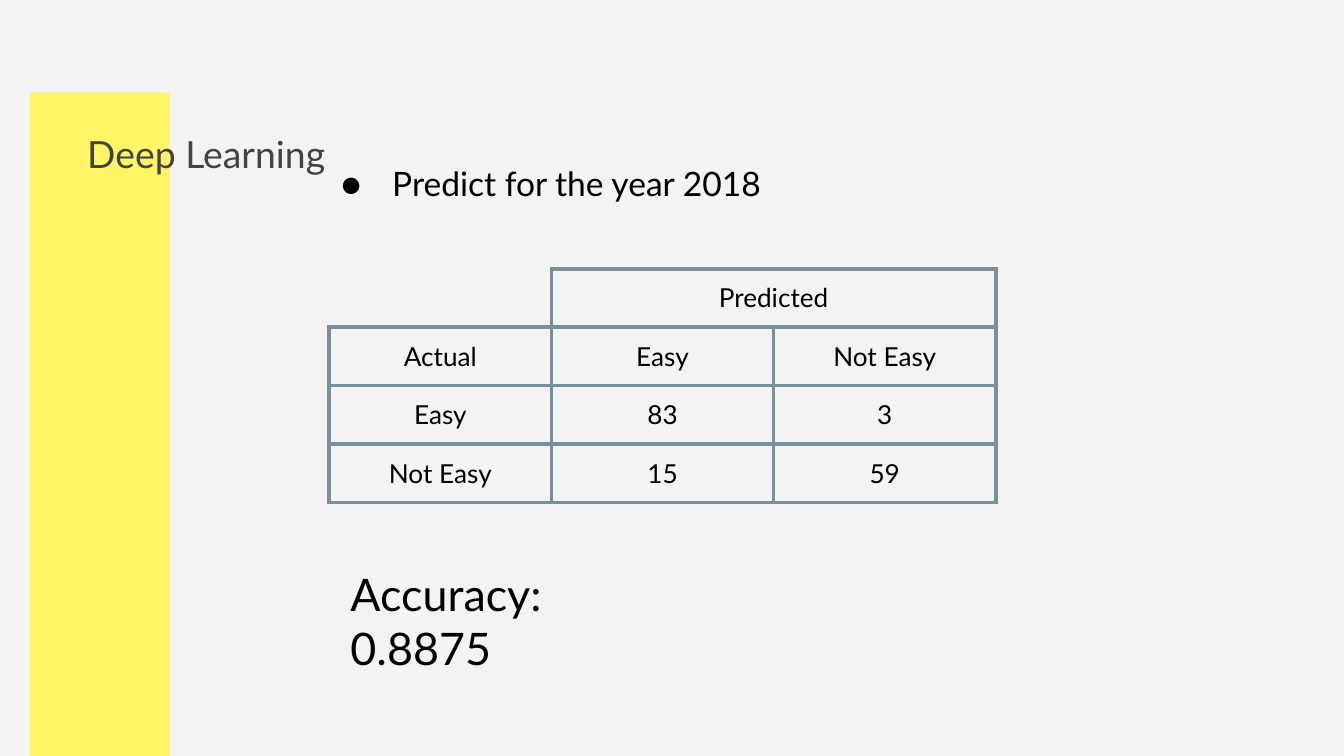
"""Build the Deep Learning slide with its confusion matrix and accuracy."""
import dataclasses

import lxml.etree
import pptx
import pptx.dml.color
import pptx.enum.shapes
import pptx.enum.text
import pptx.oxml.ns
import pptx.slide
import pptx.table
import pptx.text.text
import pptx.util

Inches = pptx.util.Inches
Pt = pptx.util.Pt
RGBColor = pptx.dml.color.RGBColor
Align = pptx.enum.text.PP_ALIGN
Anchor = pptx.enum.text.MSO_ANCHOR
qn = pptx.oxml.ns.qn

BACKGROUND = RGBColor(0xF3, 0xF3, 0xF3)
YELLOW = RGBColor(0xFF, 0xF5, 0x66)
GRAY = RGBColor(0x43, 0x43, 0x43)
BLACK = RGBColor(0x00, 0x00, 0x00)
BORDER = RGBColor(0x78, 0x90, 0x9C)
FONT = "Lato"
INSET = Inches(0.1)


@dataclasses.dataclass(frozen=True)
class TextBlock:
    text: str
    left: float
    top: float
    width: float
    height: float
    size: int
    color: RGBColor = BLACK
    anchor: Anchor = Anchor.TOP
    bottom_inset: float = 0.1
    bullet: str = ""
    line_spacing: float = 1.0


def write(
    frame: pptx.text.text.TextFrame,
    text: str,
    *,
    size: int,
    color: RGBColor = BLACK,
    align: Align = Align.LEFT,
    bullet: str = "",
    line_spacing: float = 1.0,
) -> None:
    paragraph = frame.paragraphs[0]
    paragraph.alignment = align
    paragraph.line_spacing = line_spacing
    if bullet:
        properties = paragraph._p.get_or_add_pPr()
        properties.set("marL", str(Inches(0.5)))
        properties.set("indent", str(Inches(-0.38)))
        bullet_color = lxml.etree.SubElement(properties, qn("a:buClr"))
        lxml.etree.SubElement(bullet_color, qn("a:srgbClr"), val=str(color))
        lxml.etree.SubElement(properties, qn("a:buSzPts"), val=str(size * 100))
        lxml.etree.SubElement(properties, qn("a:buFont"), typeface=FONT)
        lxml.etree.SubElement(properties, qn("a:buChar"), char=bullet)
    run = paragraph.add_run()
    run.text = text
    run.font.name = FONT
    run.font.size = Pt(size)
    run.font.color.rgb = color


def draw_block(slide: pptx.slide.Slide, block: TextBlock) -> None:
    frame = slide.shapes.add_textbox(
        Inches(block.left), Inches(block.top), Inches(block.width), Inches(block.height)
    ).text_frame
    frame.word_wrap = True
    frame.vertical_anchor = block.anchor
    frame.margin_left = frame.margin_right = frame.margin_top = INSET
    frame.margin_bottom = Inches(block.bottom_inset)
    write(
        frame,
        block.text,
        size=block.size,
        color=block.color,
        bullet=block.bullet,
        line_spacing=block.line_spacing,
    )


def draw_borders(cell: pptx.table._Cell, sides: str) -> None:
    properties = cell._tc.get_or_add_tcPr()
    for side in "LRTB":
        line = lxml.etree.SubElement(properties, qn(f"a:ln{side}"), w=str(Pt(2.25)))
        if side in sides:
            fill = lxml.etree.SubElement(line, qn("a:solidFill"))
            lxml.etree.SubElement(fill, qn("a:srgbClr"), val=str(BORDER))
        else:
            lxml.etree.SubElement(line, qn("a:noFill"))


def draw_matrix(slide: pptx.slide.Slide, rows: list[tuple[str, ...]]) -> None:
    matrix = slide.shapes.add_table(
        len(rows), len(rows[0]), Inches(2.45), Inches(2), Inches(4.96), Inches(1.74)
    ).table
    matrix.first_row = matrix.horz_banding = False
    matrix.cell(0, 1).merge(matrix.cell(0, 2))
    for row, labels in enumerate(rows):
        for column, label in enumerate(labels):
            cell = matrix.cell(row, column)
            draw_borders(cell, "RB" if row == column == 0 else "LRTB")
            cell.fill.background()
            if label:
                cell.margin_left = cell.margin_right = INSET
                cell.margin_top = cell.margin_bottom = INSET
                write(cell.text_frame, label, size=14, align=Align.CENTER)


BLOCKS = [
    TextBlock("Deep Learning", 0.55, 0.76, 2.35, 0.94, 20, GRAY, Anchor.BOTTOM, 0.54),
    TextBlock(
        "Predict for the year 2018", 2.32, 1.07, 7, 0.94, 18, bullet="●", line_spacing=1.15
    ),
    TextBlock("Accuracy: 0.8875", 2.51, 4.12, 2.5, 0.78, 24),
]
MATRIX = [
    ("", "Predicted", ""),
    ("Actual", "Easy", "Not Easy"),
    ("Easy", "83", "3"),
    ("Not Easy", "15", "59"),
]


def main() -> None:
    presentation = pptx.Presentation()
    presentation.slide_width = Inches(10)
    presentation.slide_height = Inches(10 * 9 / 16)
    slide = presentation.slides.add_slide(presentation.slide_layouts[6])
    slide.background.fill.solid()
    slide.background.fill.fore_color.rgb = BACKGROUND

    band = slide.shapes.add_shape(
        pptx.enum.shapes.MSO_SHAPE.RECTANGLE,
        Inches(0.22), Inches(0.69), Inches(1.04), Inches(4.94),
    )
    band.shadow.inherit = False
    band.fill.solid()
    band.fill.fore_color.rgb = YELLOW
    band.line.fill.background()

    for block in BLOCKS:
        draw_block(slide, block)
    draw_matrix(slide, MATRIX)
    presentation.save("out.pptx")


if __name__ == "__main__":
    main()
